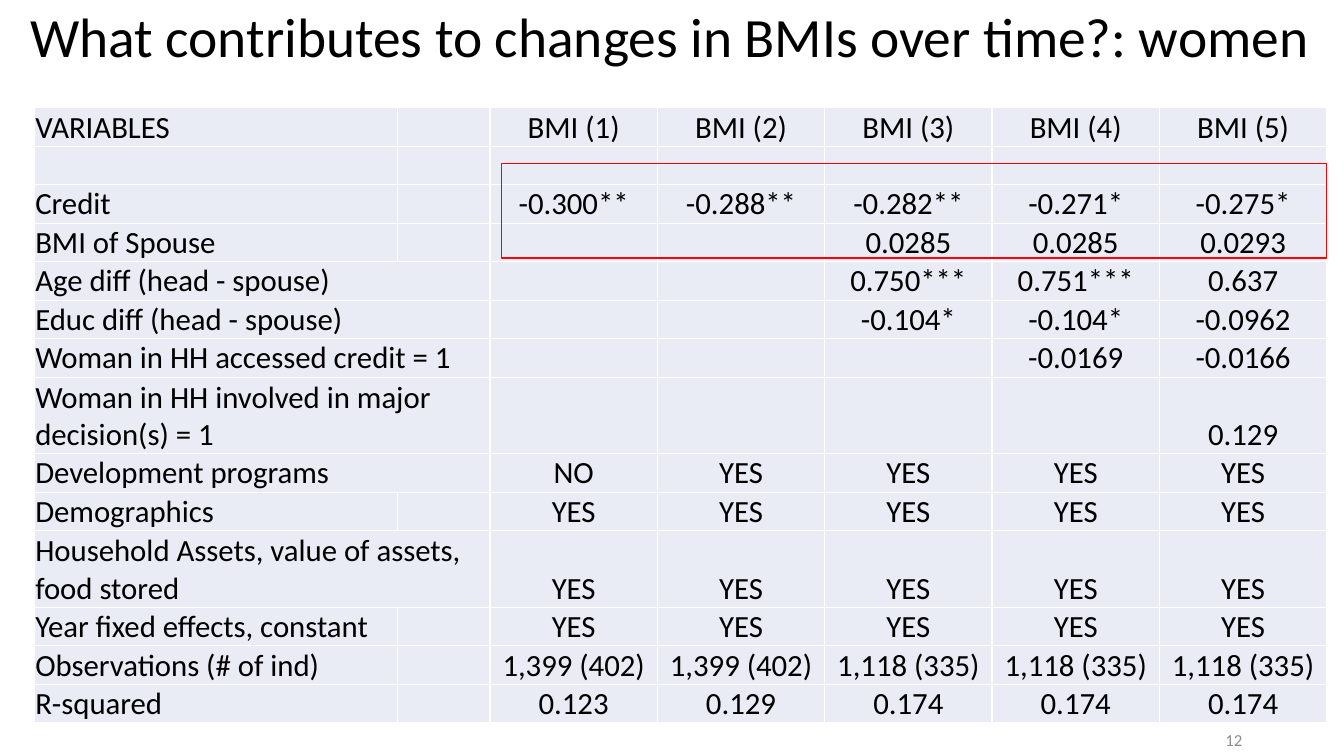
from lxml import etree
from pptx import Presentation
from pptx import util as u
from pptx.dml.color import RGBColor
from pptx.enum import shapes, text
from pptx.oxml.ns import qn

COLORS = {"ink": "000000", "cell": "E9EBF5", "border": "FFFFFF",
          "highlight": "FF0000", "number": "8C8C8C"}
FONT = "Calibri"
WIDTH, HEIGHT = 13.33, 7.5

# Table grid, in inches
LEFT, TOP = 0.34, 1.07
COLUMNS = [3.6, 0.92] + [1.66] * 5
LINE = 0.38

# Label, label spans two columns, lines of text, values (filled from the right)
ROWS = [
    ("VARIABLES", False, 1, [f"BMI ({n})" for n in range(1, 6)]),
    ("", False, 1, []),
    ("Credit", False, 1,
     ["-0.300**", "-0.288**", "-0.282**", "-0.271*", "-0.275*"]),
    ("BMI of Spouse", False, 1, ["0.0285", "0.0285", "0.0293"]),
    ("Age diff (head - spouse)", True, 1, ["0.750***", "0.751***", "0.637"]),
    ("Educ diff (head - spouse)", True, 1, ["-0.104*", "-0.104*", "-0.0962"]),
    ("Woman in HH accessed credit = 1", True, 1, ["-0.0169", "-0.0166"]),
    ("Woman in HH involved in major decision(s) = 1", True, 2, ["0.129"]),
    ("Development programs", True, 1, ["NO"] + ["YES"] * 4),
    ("Demographics", False, 1, ["YES"] * 5),
    ("Household Assets, value of assets, food stored", True, 2, ["YES"] * 5),
    ("Year fixed effects, constant", False, 1, ["YES"] * 5),
    ("Observations (# of ind)", False, 1,
     ["1,399 (402)"] * 2 + ["1,118 (335)"] * 3),
    ("R-squared", False, 1, ["0.123", "0.129"] + ["0.174"] * 3),
]


def rgb(name):
    return RGBColor.from_string(COLORS[name])


def add_run(p, words, size, color="ink"):
    r = p.add_run()
    r.text = words
    r.font.name, r.font.size = FONT, u.Pt(size)
    r.font.color.rgb = rgb(color)


def add_title(s, words):
    sp = s.shapes.title
    sp.left, sp.top = u.Inches(0.2), 0
    sp.width, sp.height = u.Inches(WIDTH - 0.2), u.Inches(1.45)
    tf = sp.text_frame
    tf.word_wrap, tf.auto_size = True, text.MSO_AUTO_SIZE.NONE
    tf.vertical_anchor = text.MSO_ANCHOR.MIDDLE
    p = tf.paragraphs[0]
    p.alignment, p.line_spacing = text.PP_ALIGN.LEFT, 0.9
    p.font.size = u.Pt(39.6)
    add_run(p, words, 39.6)
    p.add_line_break()


def set_borders(cell):
    pr = cell._tc.get_or_add_tcPr()
    for i, side in enumerate(("a:lnL", "a:lnR", "a:lnT", "a:lnB")):
        ln = etree.Element(qn(side), w=str(u.Pt(1)))
        fill = etree.SubElement(ln, qn("a:solidFill"))
        etree.SubElement(fill, qn("a:srgbClr"), val=COLORS["border"])
        pr.insert(i, ln)


def fill_cell(cell, words, align):
    cell.fill.solid()
    cell.fill.fore_color.rgb = rgb("cell")
    set_borders(cell)
    cell.margin_left = cell.margin_right = cell.margin_top = u.Inches(0.01)
    cell.margin_bottom = 0
    cell.vertical_anchor = text.MSO_ANCHOR.BOTTOM
    if words:
        p = cell.text_frame.paragraphs[0]
        p.alignment = align
        add_run(p, words, 22)


def add_results_table(s):
    height = LINE * sum(row[2] for row in ROWS)
    table = s.shapes.add_table(
        len(ROWS), len(COLUMNS), u.Inches(LEFT), u.Inches(TOP),
        u.Inches(sum(COLUMNS)), u.Inches(height)).table
    table.first_row = table.horz_banding = False
    for column, width in zip(table.columns, COLUMNS):
        column.width = u.Inches(width)
    for i, (label, spans, lines, values) in enumerate(ROWS):
        table.rows[i].height = u.Inches(LINE * lines)
        blanks = [""] * (len(COLUMNS) - 1 - len(values))
        for j, words in enumerate([label] + blanks + values):
            align = text.PP_ALIGN.CENTER if j else text.PP_ALIGN.LEFT
            fill_cell(table.cell(i, j), words, align)
        if spans:
            table.cell(i, 0).merge(table.cell(i, 1))


def add_highlight(s, left, top, width, height):
    sp = s.shapes.add_shape(shapes.MSO_SHAPE.RECTANGLE, u.Inches(left),
                            u.Inches(top), u.Inches(width), u.Inches(height))
    sp.shadow.inherit = False
    sp.fill.background()
    sp.line.color.rgb, sp.line.width = rgb("highlight"), u.Pt(0.75)


def add_page_number(s, number):
    # Strip between the table and the bottom edge
    sp = s.shapes.add_textbox(u.Inches(9.42), u.Inches(HEIGHT - 0.3),
                              u.Inches(3), u.Inches(0.28))
    tf = sp.text_frame
    tf.word_wrap = True
    tf.margin_top = tf.margin_bottom = 0
    tf.vertical_anchor = text.MSO_ANCHOR.MIDDLE
    p = tf.paragraphs[0]
    p.alignment = text.PP_ALIGN.RIGHT
    add_run(p, number, 12, "number")


def main():
    prs = Presentation()
    prs.slide_width, prs.slide_height = u.Inches(WIDTH), u.Inches(HEIGHT)
    s = prs.slides.add_slide(prs.slide_layouts[5])
    add_title(s, "What contributes to changes in BMIs over time?: women")
    add_results_table(s)
    # Frame around the credit and spouse results
    right = LEFT + sum(COLUMNS)
    add_highlight(s, 4.97, TOP + 0.55, right - 4.97, 0.94)
    add_page_number(s, "12")
    prs.save("out.pptx")


if __name__ == "__main__":
    main()
